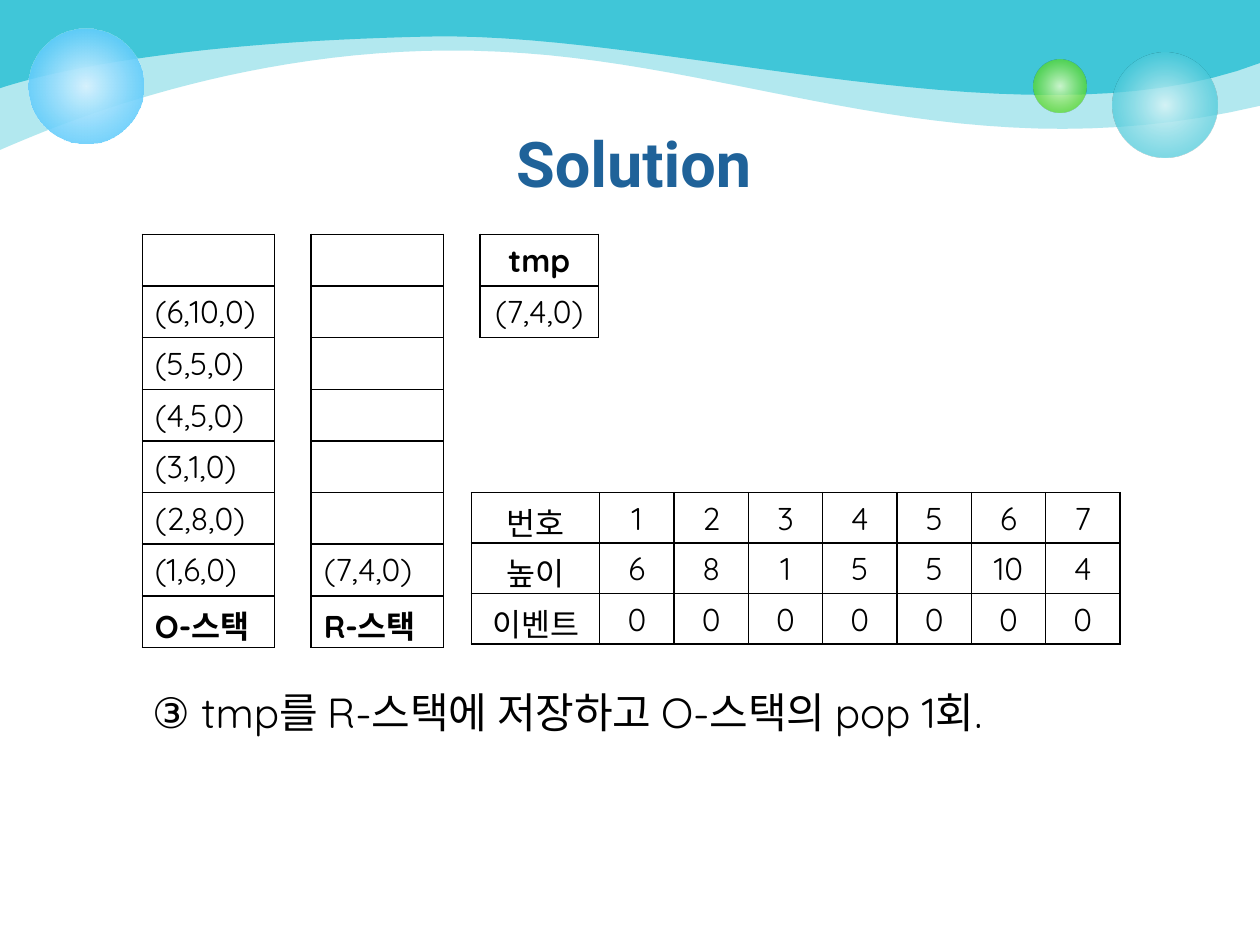
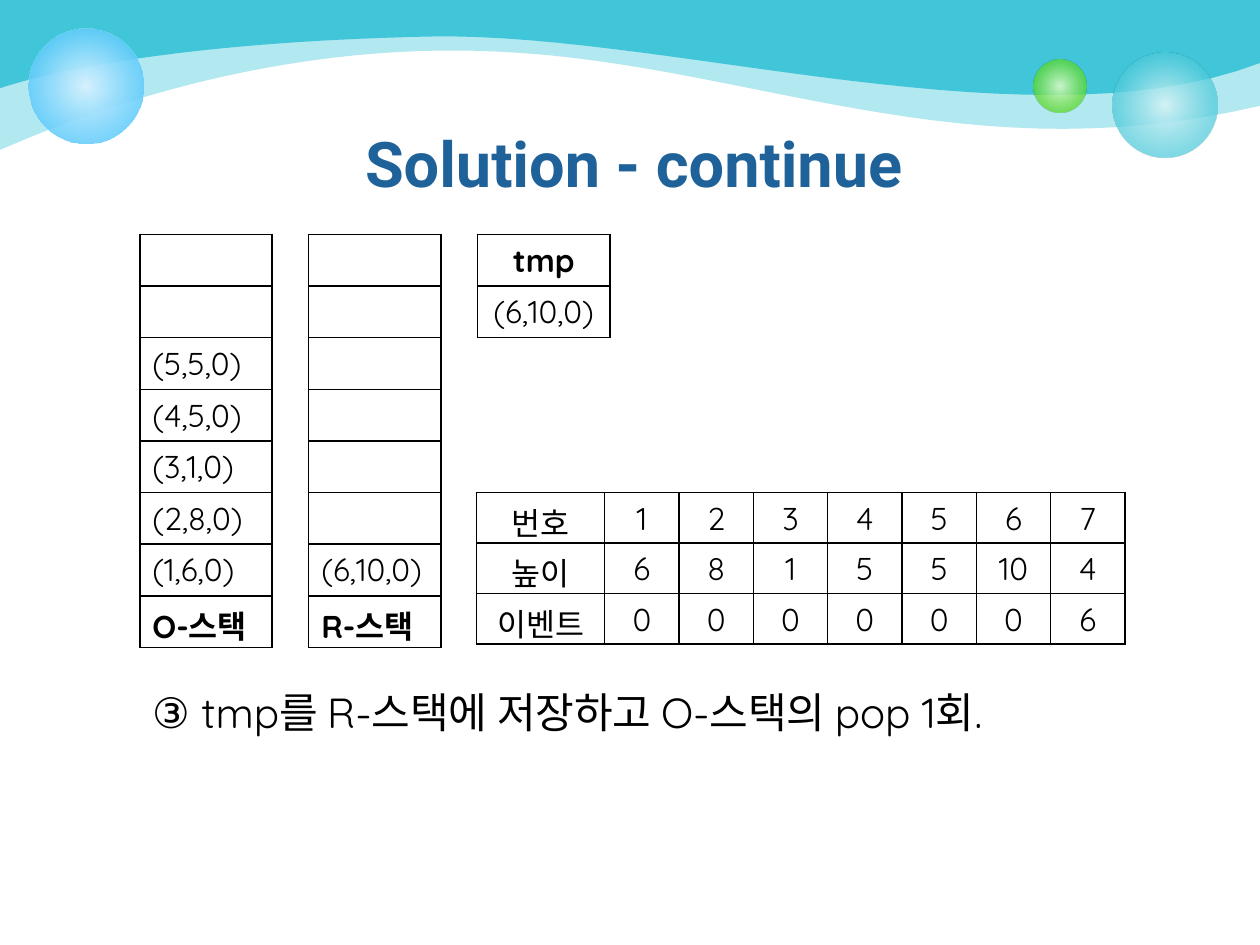
from dataclasses import dataclass

from lxml.etree import SubElement
from pptx import Presentation
from pptx.dml.color import RGBColor
from pptx.enum.shapes import MSO_SHAPE
from pptx.enum.text import MSO_ANCHOR, PP_ALIGN
from pptx.oxml.ns import qn
from pptx.slide import Slide
from pptx.table import _Cell
from pptx.text.text import _Paragraph
from pptx.util import Emu, Pt

PX = 9144
COLORS = {
    "wave": "40C6D8",
    "title": "1F6299",
    "text": "000000",
    "teal_core": "D9F4F7",
    "green_core": "DAFACD",
    "green": "4CD416",
    "blue_core": "D6F2FE",
    "blue": "33BDFB",
}
TITLE_FONT, BODY_FONT = "Roboto", "Quicksand"
CURVE_STEPS = 30
STACK_STEP, STACK_WIDTH, STACK_DEPTH = 134, 105, 7
STACK_TOP, STACK_ROW = 186, 41
EVENTS_TOP, EVENTS_ROW = 391, 40
EVENTS_COLUMNS = [102] + [59] * 7
HEIGHTS = [6, 8, 1, 5, 5, 10, 4]
STEP_TEXT = "③ tmp를 R-스택에 저장하고 O-스택의 pop 1회."


@dataclass(frozen=True)
class Wave:
    """A band from the slide top down to a chain of cubic curves."""
    start: tuple[int, int]
    curves: list[list[tuple[int, int]]]
    alpha: int


@dataclass(frozen=True)
class Ball:
    """A circle with a gradient from core to rim."""
    left: int
    top: int
    size: int
    core: str
    rim: str
    core_alpha: int
    rim_alpha: int
    rim_at: int


@dataclass(frozen=True)
class Step:
    """The state of the stacks and events on one slide."""
    title: str
    left: int
    o_stack: list[str]
    r_stack: list[str]
    tmp: str
    tmp_width: int
    events_left: int
    events: list[int]


WAVES = [
    Wave((0, 119), [[(33, 105), (197, 31), (396, 41)], [(595, 50), (762, 140), (1000, 84)]], 40),
    Wave((0, 70), [[(45, 55), (153, 33), (341, 29)], [(529, 25), (820, 119), (1000, 50)]], 100),
]
BALLS = [
    Ball(883, 42, 83, "teal_core", "wave", 90, 70, 76),
    Ball(820, 47, 42, "green_core", "green", 90, 70, 76),
    Ball(23, 23, 91, "blue_core", "blue", 100, 80, 100),
]
O_ITEMS = ["(5,5,0)", "(4,5,0)", "(3,1,0)", "(2,8,0)", "(1,6,0)"]
STEPS = [
    Step("Solution", 113, ["(6,10,0)", *O_ITEMS], ["(7,4,0)"], "(7,4,0)", 94, 374, [0] * 7),
    Step("Solution - continue", 111, O_ITEMS, ["(6,10,0)"], "(6,10,0)", 105, 378, [0] * 6 + [6]),
]


def px(*lengths: int) -> list[Emu]:
    """Turn px lengths into EMU."""
    return [Emu(n * PX) for n in lengths]


def rgb(name: str) -> RGBColor:
    """Look up a named colour."""
    return RGBColor.from_string(COLORS[name])


def set_alpha(color, percent: int) -> None:
    """Set the opacity of a colour element."""
    if percent < 100:
        SubElement(color, qn("a:alpha"), val=str(percent * 1000))


def curve_points(start: tuple[int, int], curve: list[tuple[int, int]]) -> list[tuple[float, float]]:
    """Sample a cubic curve, leaving out its start."""
    points = []
    for i in range(1, CURVE_STEPS + 1):
        t = i / CURVE_STEPS
        weights = ((1 - t) ** 3, 3 * t * (1 - t) ** 2, 3 * t * t * (1 - t), t ** 3)
        points.append(tuple(PX * sum(w * pt[axis] for w, pt in zip(weights, [start, *curve]))
                            for axis in (0, 1)))
    return points


def add_wave(s: Slide, wave: Wave) -> None:
    """Draw a wave band."""
    points, start = [px(*wave.start)], wave.start
    for curve in wave.curves:
        points += curve_points(start, curve)
        start = curve[-1]
    points.append(px(1000, 0))
    builder = s.shapes.build_freeform(0, 0)
    builder.add_line_segments(points, close=True)
    sp = builder.convert_to_shape()
    sp.shadow.inherit = False
    sp.line.fill.background()
    sp.fill.solid()
    sp.fill.fore_color.rgb = rgb("wave")
    set_alpha(sp._element.spPr.find(".//" + qn("a:srgbClr")), wave.alpha)


def add_ball(s: Slide, ball: Ball) -> None:
    """Draw a translucent ball."""
    sp = s.shapes.add_shape(MSO_SHAPE.OVAL, *px(ball.left, ball.top, ball.size, ball.size))
    sp.shadow.inherit = False
    sp.line.fill.background()
    sp.fill.gradient()
    looks = [(ball.core, ball.core_alpha, 0), (ball.rim, ball.rim_alpha, ball.rim_at)]
    grad = sp._element.spPr.find(qn("a:gradFill"))
    for stop, (name, _, position) in zip(sp.fill.gradient_stops, looks):
        stop.color.rgb = rgb(name)
        stop.position = position / 100
    for color, (_, alpha, _) in zip(grad.iter(qn("a:srgbClr")), looks):
        set_alpha(color, alpha)
    grad.remove(grad.find(qn("a:lin")))
    circle = SubElement(grad, qn("a:path"), path="circle")
    SubElement(circle, qn("a:fillToRect"), l="50000", t="50000", r="50000", b="50000")


def write(p: _Paragraph, text: str, size: int, font: str = BODY_FONT, color: str = "text",
          bold: bool = False, align: PP_ALIGN = PP_ALIGN.LEFT) -> None:
    """Fill a paragraph and set its look."""
    p.text = text
    p.alignment = align
    p.font.size, p.font.name, p.font.bold = Pt(size), font, bold
    p.font.color.rgb = rgb(color)


def add_text(s: Slide, box: tuple[int, int, int, int], anchor: MSO_ANCHOR, text: str,
             size: int, **look) -> None:
    """Add a wrapped one-paragraph text box."""
    tf = s.shapes.add_textbox(*px(*box)).text_frame
    tf.word_wrap = True
    tf.vertical_anchor = anchor
    write(tf.paragraphs[0], text, size, **look)


def outline(cell: _Cell) -> None:
    """Give a cell thin borders and no fill."""
    tc_pr = cell._tc.get_or_add_tcPr()
    for side in ("lnL", "lnR", "lnT", "lnB"):
        ln = SubElement(tc_pr, qn(f"a:{side}"), w=str(Pt(1)))
        SubElement(SubElement(ln, qn("a:solidFill")), qn("a:srgbClr"), val=COLORS["text"])
    cell.fill.background()


def add_grid(s: Slide, left: int, top: int, columns: list[int], row_height: int,
             rows: list[list], align: PP_ALIGN = PP_ALIGN.CENTER,
             bold_row: int | None = None) -> None:
    """Add an outlined table."""
    box = px(left, top, sum(columns), row_height * len(rows))
    table = s.shapes.add_table(len(rows), len(columns), *box).table
    table.first_row = table.horz_banding = False
    for column, width in zip(table.columns, px(*columns)):
        column.width = width
    for i, values in enumerate(rows):
        table.rows[i].height = Emu(row_height * PX)
        for cell, value in zip(table.rows[i].cells, values):
            outline(cell)
            write(cell.text_frame.paragraphs[0], str(value), 18, align=align, bold=i == bold_row)


def add_stack(s: Slide, left: int, name: str, items: list[str]) -> None:
    """Add a stack with its items at the bottom, above its name."""
    column = [""] * (STACK_DEPTH - len(items)) + items + [name]
    add_grid(s, left, STACK_TOP, [STACK_WIDTH], STACK_ROW, [[item] for item in column],
             PP_ALIGN.LEFT, STACK_DEPTH)


def add_step(prs: Presentation, step: Step) -> None:
    """Add the slide for one step."""
    s = prs.slides.add_slide(prs.slide_layouts[6])
    for wave in WAVES:
        add_wave(s, wave)
    for ball in BALLS:
        add_ball(s, ball)
    add_text(s, (53, 89, 900, 79), MSO_ANCHOR.MIDDLE, step.title, 36, font=TITLE_FONT,
             color="title", bold=True, align=PP_ALIGN.CENTER)
    add_stack(s, step.left, "O-스택", step.o_stack)
    add_stack(s, step.left + STACK_STEP, "R-스택", step.r_stack)
    add_grid(s, step.left + 2 * STACK_STEP, STACK_TOP, [step.tmp_width], STACK_ROW,
             [["tmp"], [step.tmp]], bold_row=0)
    add_text(s, (111, 540, 778, 47), MSO_ANCHOR.TOP, STEP_TEXT, 24)
    add_grid(s, step.events_left, EVENTS_TOP, EVENTS_COLUMNS, EVENTS_ROW,
             [["번호", *range(1, 8)], ["높이", *HEIGHTS], ["이벤트", *step.events]])


def main() -> None:
    """Build the presentation."""
    prs = Presentation()
    prs.slide_width, prs.slide_height = px(1000, 750)
    for step in STEPS:
        add_step(prs, step)
    prs.save("out.pptx")


if __name__ == "__main__":
    main()
